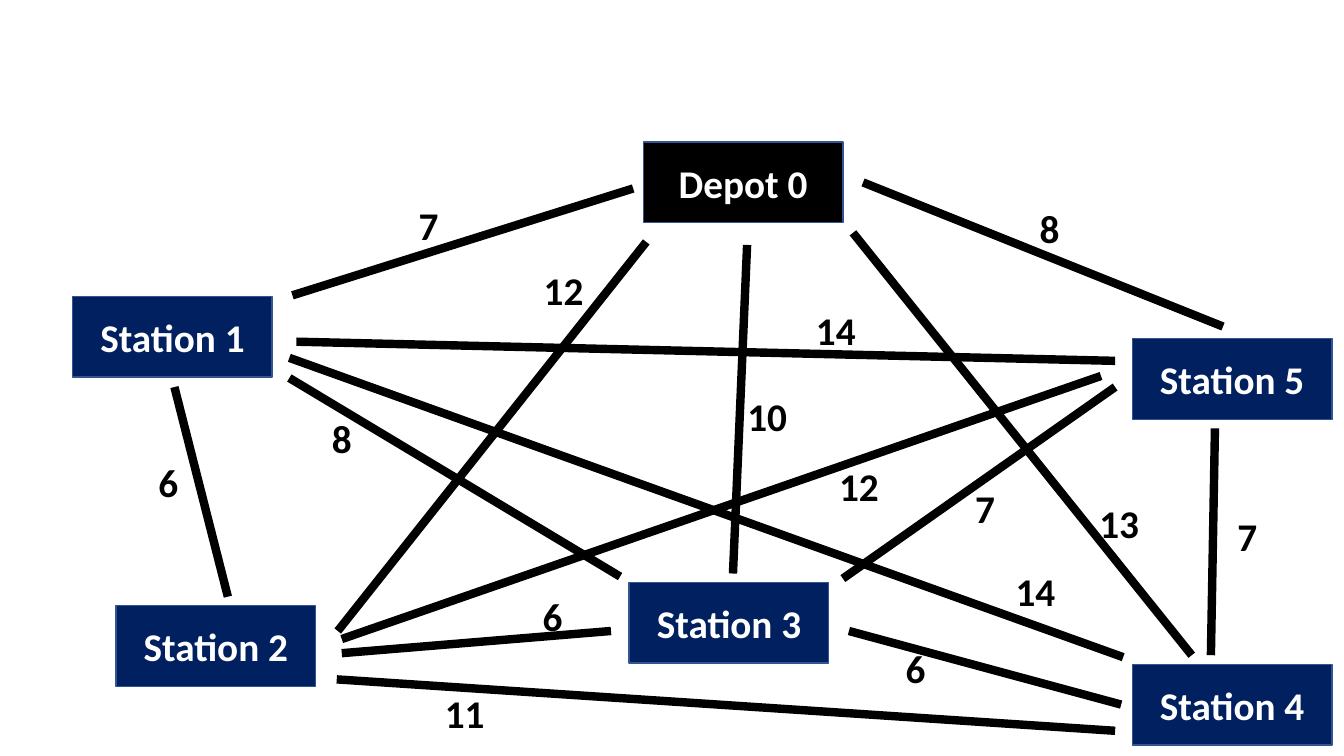
from lxml import etree
from pptx import Presentation
from pptx.dml.color import RGBColor
from pptx.enum.shapes import MSO_CONNECTOR as Connector, MSO_SHAPE as Shape
from pptx.enum.text import MSO_ANCHOR as Anchor, MSO_AUTO_SIZE as AutoSize, PP_ALIGN as Align
from pptx.oxml.ns import qn
from pptx.util import Inches, Pt

COLOURS = {"station": "002060", "depot": "000000", "border": "325491",
           "route": "000000", "distance": "000000", "name": "FFFFFF"}
FONT = {"name": "Calibri", "size": Pt(28), "bold": True}
NODE_SIZE = (1.98, 0.8)
LABEL_HEIGHT = 0.57
LABEL_WIDTHS = {1: 0.4, 2: 0.6}

NODES = [
    ("Depot 0", "depot", 6.38, 1.41),
    ("Station 1", "station", 0.72, 2.94),
    ("Station 2", "station", 1.15, 6.01),
    ("Station 3", "station", 6.24, 5.78),
    ("Station 4", "station", 11.23, 6.59),
    ("Station 5", "station", 11.23, 3.36),
]

# Each route: start point, end point, distance, left and top of its label
ROUTES = [
    ((6.28, 1.87), (2.9, 2.93), "7", (4.05, 1.95)),
    ((6.41, 2.4), (3.35, 6.26), "12", (5.29, 2.59)),
    ((7.41, 2.43), (7.27, 5.69), "10", (7.31, 3.84)),
    ((11.82, 6.5), (8.46, 2.31), "13", (10.8, 4.9)),
    ((8.56, 1.81), (12.13, 3.24), "8", (10.21, 1.98)),
    ((1.73, 3.84), (2.26, 5.92), "6", (1.47, 4.5)),
    ((2.87, 3.75), (6.15, 5.72), "8", (3.19, 4.06)),
    ((2.87, 3.55), (11.14, 6.52), "14", (9.97, 5.58)),
    ((2.94, 3.39), (11.06, 3.58), "14", (7.99, 2.99)),
    ((6.06, 6.26), (3.39, 6.48), "6", (5.28, 5.83)),
    ((11.06, 7.25), (3.34, 6.74), "11", (4.31, 6.79)),
    ((10.92, 3.73), (3.39, 6.34), "12", (8.22, 4.54)),
    ((11.12, 6.99), (8.42, 6.26), "6", (8.88, 6.34)),
    ((11.06, 3.84), (8.36, 5.74), "7", (9.57, 4.76)),
    ((12.05, 4.25), (12.01, 6.5), "7", (12.17, 5.03)),
]


def colour(key):
    """Return the named colour."""
    return RGBColor.from_string(COLOURS[key])


def write(frame, text, colour_key):
    """Write one centred, formatted line into a text frame."""
    para = frame.paragraphs[0]
    para.alignment = Align.CENTER
    span = para.add_run()
    span.text = text
    for attribute, value in FONT.items():
        setattr(span.font, attribute, value)
    span.font.color.rgb = colour(colour_key)


def add_node(page, name, kind, left, top):
    """Add the box of a depot or station."""
    box = page.shapes.add_shape(Shape.RECTANGLE, *map(Inches, (left, top, *NODE_SIZE)))
    box.shadow.inherit = False
    box.fill.solid()
    box.fill.fore_color.rgb = colour(kind)
    box.line.color.rgb = colour("border")
    box.line.width = Pt(1)
    box.text_frame.vertical_anchor = Anchor.MIDDLE
    write(box.text_frame, name, "name")


def add_route(page, start, end):
    """Add the thick line between two nodes."""
    route = page.shapes.add_connector(Connector.STRAIGHT, *map(Inches, start + end))
    route.line.color.rgb = colour("route")
    route.line.width = Pt(6)
    etree.SubElement(route._element.spPr, qn("a:effectLst"))


def add_distance(page, distance, left, top):
    """Add the distance label of a route."""
    size = (LABEL_WIDTHS[len(distance)], LABEL_HEIGHT)
    box = page.shapes.add_textbox(*map(Inches, (left, top, *size)))
    box.text_frame.word_wrap = False
    box.text_frame.auto_size = AutoSize.SHAPE_TO_FIT_TEXT
    write(box.text_frame, distance, "distance")


def main():
    """Build the distance network and save it."""
    deck = Presentation()
    deck.slide_width, deck.slide_height = Inches(13.33), Inches(7.5)
    page = deck.slides.add_slide(deck.slide_layouts[6])
    for node in NODES:
        add_node(page, *node)
    for start, end, distance, place in ROUTES:
        add_route(page, start, end)
        add_distance(page, distance, *place)
    deck.save("out.pptx")


if __name__ == "__main__":
    main()
